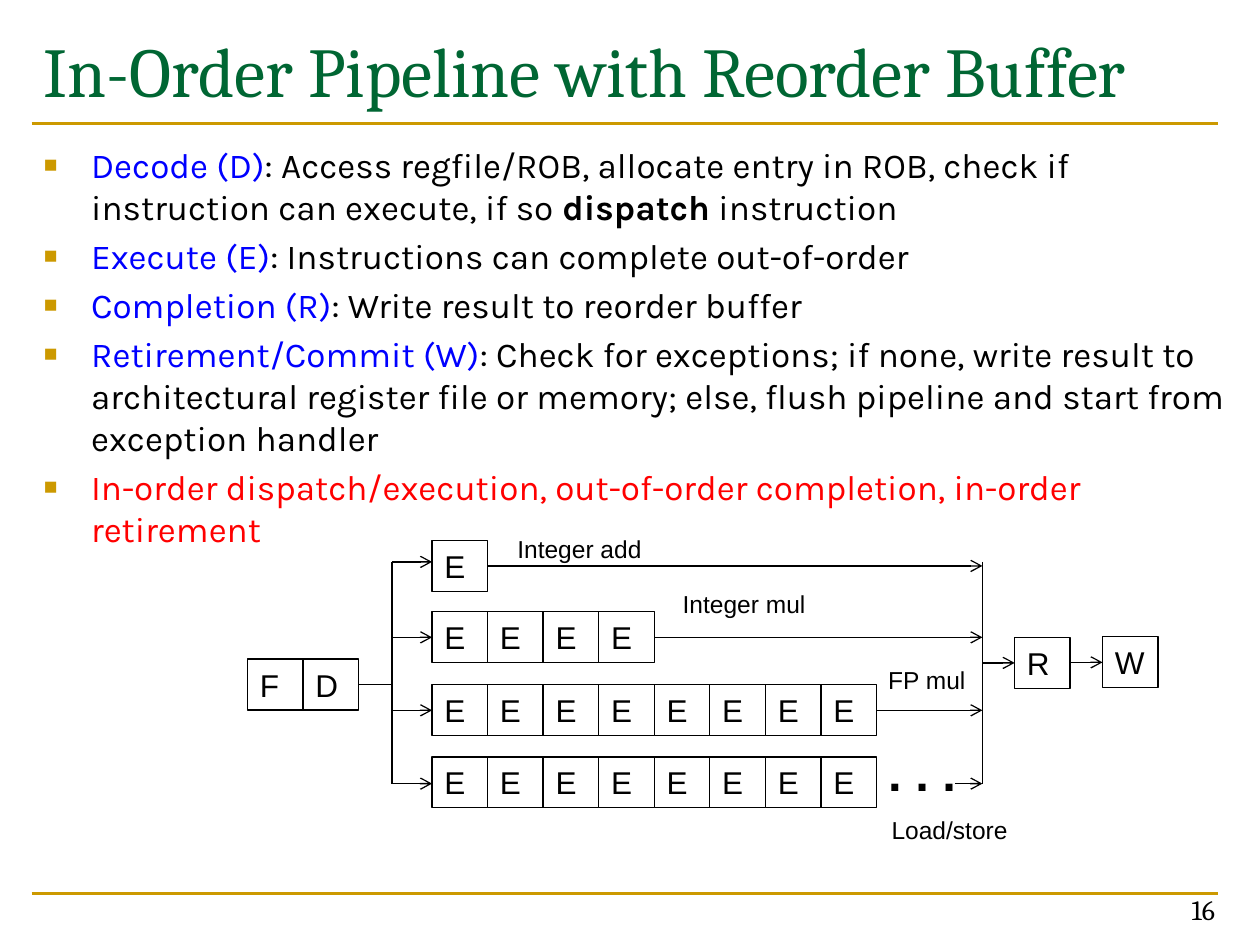
from lxml import etree
from pptx import Presentation
from pptx import util as u
from pptx.dml.color import RGBColor
from pptx.enum import shapes, text
from pptx.oxml import ns

Pt = u.Pt
BLACK = RGBColor(0, 0, 0)
WHITE = RGBColor(255, 255, 255)
GREEN = RGBColor(0x00, 0x66, 0x33)
GOLD = RGBColor(0xCC, 0x99, 0x00)
BLUE = RGBColor(0, 0, 255)
RED = RGBColor(255, 0, 0)

prs = Presentation()
prs.slide_width, prs.slide_height = Pt(720), Pt(540)
s = prs.slides.add_slide(prs.slide_layouts[6])


def add_text(paras, x, y, w, h, size=18, font="Arial", color=BLACK, bold=False,
             align=text.PP_ALIGN.LEFT, anchor=text.MSO_ANCHOR.TOP, wrap=True,
             box=False, bullets=False):
    if box:
        sp = s.shapes.add_shape(shapes.MSO_SHAPE.RECTANGLE, Pt(x), Pt(y), Pt(w), Pt(h))
        sp.shadow.inherit = False
        sp.fill.solid()
        sp.fill.fore_color.rgb = WHITE
        sp.line.color.rgb = BLACK
        sp.line.width = Pt(0.75)
    else:
        sp = s.shapes.add_textbox(Pt(x), Pt(y), Pt(w), Pt(h))
    tf = sp.text_frame
    tf.word_wrap = wrap
    tf.vertical_anchor = anchor
    if isinstance(paras, str):
        paras = [[(paras, color, bold)]]
    for i, runs in enumerate(paras):
        p = tf.paragraphs[0] if i == 0 else tf.add_paragraph()
        p.alignment = align
        if bullets:
            p.space_before = Pt(4)
            pPr = p._p.get_or_add_pPr()
            pPr.set("marL", str(Pt(27)))
            pPr.set("indent", str(-Pt(27)))
            clr = etree.SubElement(pPr, ns.qn("a:buClr"))
            etree.SubElement(clr, ns.qn("a:srgbClr"), val=str(GOLD))
            etree.SubElement(pPr, ns.qn("a:buSzPct"), val="65000")
            etree.SubElement(pPr, ns.qn("a:buFont"), typeface="Arial")
            etree.SubElement(pPr, ns.qn("a:buChar"), char="■")
        for words, run_color, run_bold in runs:
            r = p.add_run()
            r.text = words
            r.font.size = Pt(size)
            r.font.name = font
            r.font.bold = run_bold
            r.font.color.rgb = run_color


def add_line(x1, y1, x2, y2, color=BLACK, width=0.75, arrow=False):
    c = s.shapes.add_connector(shapes.MSO_CONNECTOR.STRAIGHT, Pt(x1), Pt(y1), Pt(x2), Pt(y2))
    c.line.color.rgb = color
    c.line.width = Pt(width)
    if arrow:
        etree.SubElement(c.line._get_or_add_ln(), ns.qn("a:tailEnd"), type="arrow")
    etree.SubElement(c._element.spPr, ns.qn("a:effectLst"))


for y in (70.6, 510.5):
    add_line(18, y, 696.2, y, color=GOLD, width=1.5)

add_text("In-Order Pipeline with Reorder Buffer", 18, 12.2, 702, 84.2,
         size=40, font="Cambria", color=GREEN)
stages = [
    [("Decode (D)", BLUE, False),
     (": Access regfile/ROB, allocate entry in ROB, check if instruction can execute, if so ",
      BLACK, False),
     ("dispatch", BLACK, True), (" instruction", BLACK, False)],
    [("Execute (E)", BLUE, False),
     (": Instructions can complete out-of-order", BLACK, False)],
    [("Completion (R)", BLUE, False),
     (": Write result to reorder buffer", BLACK, False)],
    [("Retirement/Commit (W)", BLUE, False),
     (": Check for exceptions; if none, write result to architectural register file or "
      "memory; else, flush pipeline and start from exception handler", BLACK, False)],
    [("In-order dispatch/execution, out-of-order completion, in-order retirement", RED, False)],
]
add_text(stages, 18, 78.5, 693.4, 409, size=20, font="Karla", bullets=True)
add_text("16", 533.5, 496.8, 167.8, 36, size=16, font="Cambria",
         align=text.PP_ALIGN.RIGHT, anchor=text.MSO_ANCHOR.BOTTOM)

CELL_W, CELL_H = 31.75, 29.1
UNIT_X, FORK_X, JOIN_X = 246.9, 224, 561.4
cells = [("F", 141.4, 376.6), ("D", 141.4 + CELL_W, 376.6),
         ("R", 579.8, 364.4), ("W", 630, 363.7)]
units = [(309, 1, 321.1, 323.4), (349.6, 4, 364.2, 364.2),
         (391.2, 8, 405.9, 405.9), (432.5, 8, 447.8, 447.8)]
for top, count, in_y, out_y in units:
    cells += [("E", UNIT_X + i * CELL_W, top) for i in range(count)]
for letter, x, y in cells:
    add_text(letter, x, y, CELL_W, CELL_H, box=True, anchor=text.MSO_ANCHOR.MIDDLE)

add_text(". . .", 500.4, 420.5, 54, 41, size=28, bold=True, wrap=False)

for top, count, in_y, out_y in units:
    add_line(FORK_X, in_y, UNIT_X, in_y, arrow=True)
    start = 545.8 if top == units[-1][0] else UNIT_X + count * CELL_W
    add_line(start, out_y, JOIN_X, out_y, arrow=True)
for x in (FORK_X, JOIN_X):
    add_line(x, 321.1, x, 447.8)
add_line(204.9, 391.2, FORK_X, 391.2)
add_line(JOIN_X, 378.8, 579.8, 378.8, arrow=True)
add_line(579.8 + CELL_W, 378.5, 630, 378.5, arrow=True)

labels = [("Integer add", 288.5, 301.8, 85.7), ("Integer mul", 383, 333, 85),
          ("FP mul", 500.4, 376.6, 59), ("Load/store", 502.4, 462.4, 96.5)]
for name, x, y, w in labels:
    add_text(name, x, y, w, 24.5, size=14, wrap=name == "Load/store")

prs.save("out.pptx")
